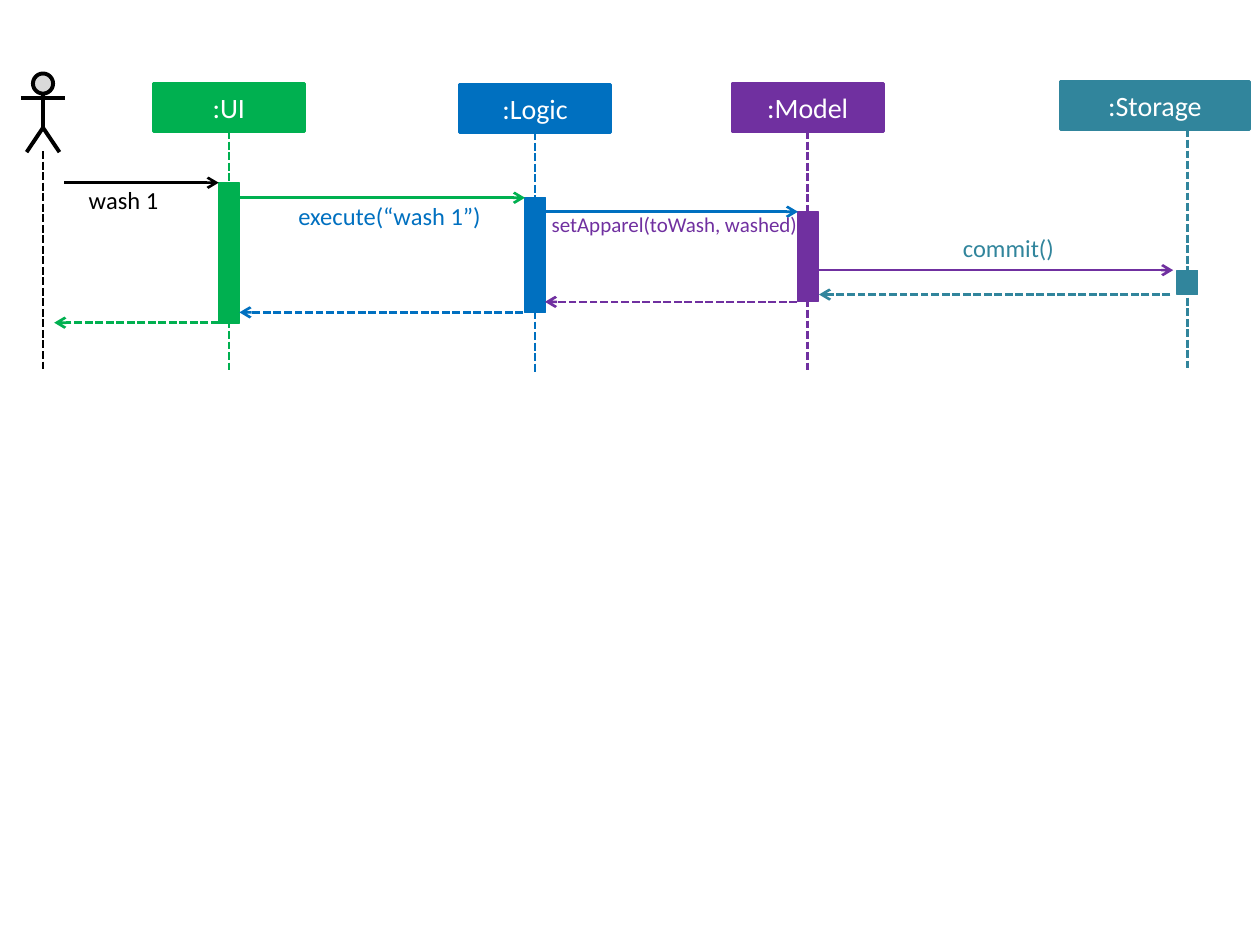
from lxml import etree
from pptx import Presentation
from pptx.dml.color import RGBColor
from pptx.enum import dml, shapes, text
from pptx.oxml.ns import qn
from pptx.util import Pt

BLACK, WHITE, GREY = "000000", "FFFFFF", "D9D9D9"
GREEN, BLUE, PURPLE, TEAL = "00B050", "0070C0", "7030A0", "31859C"


def paint(shape, fill, line, width):
    """Fill and outline a shape; a fill of None leaves it open."""
    shape.shadow.inherit = False
    if fill:
        shape.fill.solid()
        shape.fill.fore_color.rgb = RGBColor.from_string(fill)
    else:
        shape.fill.background()
    shape.line.color.rgb = RGBColor.from_string(line)
    shape.line.width = Pt(width)


def add_line(parent, start, end, color, width=1.5, dashed=False, arrow=False):
    line = parent.add_connector(shapes.MSO_CONNECTOR.STRAIGHT,
                                *[Pt(v) for v in (*start, *end)])
    line.line.color.rgb = RGBColor.from_string(color)
    line.line.width = Pt(width)
    if dashed:
        line.line.dash_style = dml.MSO_LINE.SQUARE_DOT
    properties = line._element.spPr
    if arrow:
        etree.SubElement(properties.find(qn("a:ln")), qn("a:tailEnd"), type="arrow")
    etree.SubElement(properties, qn("a:effectLst"))
    return line


presentation = Presentation()
presentation.slide_width, presentation.slide_height = Pt(720), Pt(540)
slide = presentation.slides.add_slide(presentation.slide_layouts[6])
canvas = slide.shapes

# Actor and its lifeline
ACTOR_X = 24.6
actor = canvas.add_group_shape().shapes
face = actor.add_shape(shapes.MSO_SHAPE.FLOWCHART_CONNECTOR,
                       Pt(ACTOR_X - 5.75), Pt(42), Pt(11.5), Pt(11.5))
paint(face, GREY, BLACK, 2.25)
add_line(actor, (ACTOR_X, 53.5), (ACTOR_X, 73), BLACK, 2.25)
add_line(actor, (ACTOR_X - 12.6, 56), (ACTOR_X + 12.8, 56), BLACK, 2.25)
legs = actor.build_freeform(Pt(ACTOR_X - 9.4), Pt(87))
legs.add_line_segments([(Pt(ACTOR_X), Pt(73)), (Pt(ACTOR_X + 9.4), Pt(87))], close=False)
paint(legs.convert_to_shape(), None, BLACK, 2.25)
add_line(canvas, (ACTOR_X, 86.4), (ACTOR_X, 212.4), BLACK, dashed=True)

# Components: name, colour, lifeline x, header (left, top, width), lifeline end, bar top, bar height
HEADER_HEIGHT, BAR_WIDTH = 27.4, 11.8
components = [
    (":UI", GREEN, 130.8, (87.6, 47.6, 86.4), 212.4, 104.4, 80.4),
    (":Logic", BLUE, 305.8, (262.6, 48.2, 86.4), 212.4, 113, 65.6),
    (":Model", PURPLE, 461.6, (418.4, 47.6, 86.4), 212.4, 121, 51.2),
    (":Storage", TEAL, 678.5, (606, 46.6, 108), 210.2, 154.4, 13.8),
]
for name, color, x, (left, top, width), lifeline_end, bar_top, bar_height in components:
    header = canvas.add_shape(shapes.MSO_SHAPE.RECTANGLE,
                              Pt(left), Pt(top), Pt(width), Pt(HEADER_HEIGHT))
    paint(header, color, color, 1.5)
    header.text_frame.vertical_anchor = text.MSO_ANCHOR.MIDDLE
    title = header.text_frame.paragraphs[0]
    title.alignment = text.PP_ALIGN.CENTER
    run = title.add_run()
    run.text = name
    run.font.name, run.font.size = "Calibri", Pt(16)
    run.font.color.rgb = RGBColor.from_string(WHITE)

    lifeline = add_line(canvas, (x, top + HEADER_HEIGHT), (x, lifeline_end), color, dashed=True)
    if abs(left + width / 2 - x) < 0.1:
        lifeline.begin_connect(header, 2)
    bar = canvas.add_shape(shapes.MSO_SHAPE.RECTANGLE, Pt(x - BAR_WIDTH / 2), Pt(bar_top),
                           Pt(BAR_WIDTH), Pt(bar_height))
    paint(bar, color, color, 0.75)

# Calls run left to right, replies are dashed and run back: from x, to x, y, colour, dashed
messages = [
    (36.8, 125, 104.4, BLACK, False),
    (136.8, 300, 113, GREEN, False),
    (311.4, 456, 121, BLUE, False),
    (468, 670.4, 154.4, PURPLE, False),
    (668.8, 468, 168.3, TEAL, True),
    (455.6, 311.4, 172.5, PURPLE, True),
    (299, 136.8, 178.5, BLUE, True),
    (125, 31, 184.4, GREEN, True),
]
for from_x, to_x, y, color, is_reply in messages:
    add_line(canvas, (from_x, y), (to_x, y), color, dashed=is_reply, arrow=True)

# Call labels: wording, left, top, width, height, size, colour, alignment
labels = [
    ("wash 1", 36.8, 106, 67.6, 17, 14, BLACK, text.PP_ALIGN.CENTER),
    ("execute(“wash 1”)", 170.5, 114.6, 112.4, 17, 14, BLUE, text.PP_ALIGN.LEFT),
    ("setApparel(toWash, washed)", 315.2, 121, 159, 14.5, 12, PURPLE, text.PP_ALIGN.LEFT),
    ("commit()", 550.2, 133.4, 120, 17, 14, TEAL, text.PP_ALIGN.LEFT),
]
for wording, left, top, width, height, size, color, alignment in labels:
    frame = canvas.add_textbox(Pt(left), Pt(top), Pt(width), Pt(height)).text_frame
    frame.word_wrap = True
    frame.auto_size = text.MSO_AUTO_SIZE.SHAPE_TO_FIT_TEXT
    frame.margin_left = frame.margin_right = frame.margin_top = frame.margin_bottom = 0
    caption = frame.paragraphs[0]
    caption.alignment = alignment
    run = caption.add_run()
    run.text = wording
    run.font.name, run.font.size = "Calibri", Pt(size)
    run.font.color.rgb = RGBColor.from_string(color)

presentation.save("out.pptx")
